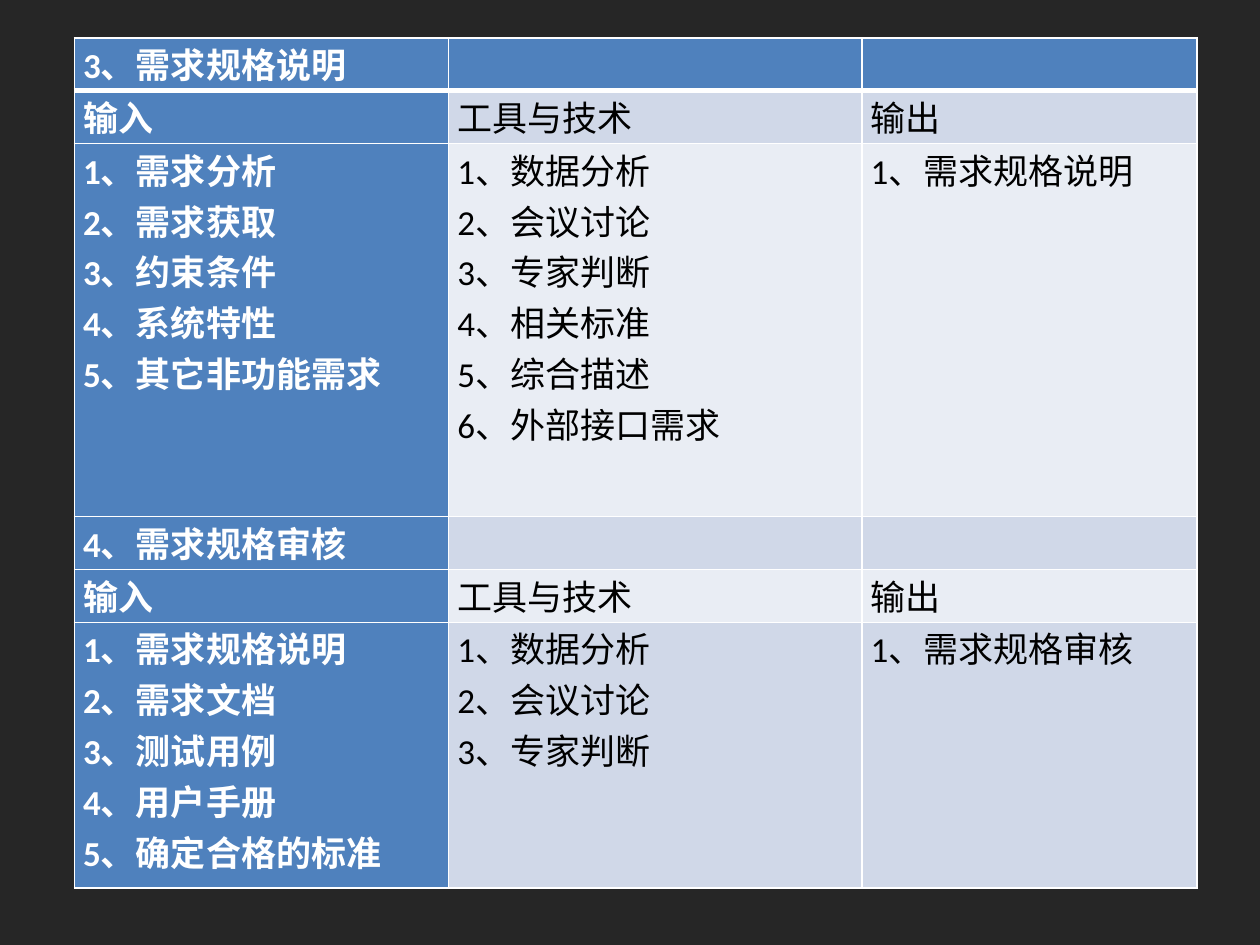
from dataclasses import dataclass

from lxml.etree import SubElement
from pptx import Presentation
from pptx.dml.color import RGBColor
from pptx.enum.text import PP_ALIGN
from pptx.oxml.ns import qn
from pptx.util import Inches, Pt


@dataclass(frozen=True)
class Theme:
    background: str = "262626"
    accent: str = "4F81BD"
    bands: tuple = ("E9EDF4", "D0D8E8")
    light: str = "FFFFFF"
    dark: str = "000000"
    font: str = "Calibri"
    size: int = 20
    thin: int = 1
    thick: int = 3


THEME = Theme()
COLUMN_WIDTHS = (2.97, 3.28, 2.66)
ROW_HEIGHTS = (0.42, 0.42, 2.96, 0.42, 0.42, 2.11)
HEADINGS = (["输入"], ["工具与技术"], ["输出"])
STAGES = (
    (
        "3、需求规格说明",
        ["需求分析", "需求获取", "约束条件", "系统特性", "其它非功能需求"],
        ["数据分析", "会议讨论", "专家判断", "相关标准", "综合描述", "外部接口需求"],
        ["需求规格说明"],
    ),
    (
        "4、需求规格审核",
        ["需求规格说明", "需求文档", "测试用例", "用户手册", "确定合格的标准"],
        ["数据分析", "会议讨论", "专家判断"],
        ["需求规格审核"],
    ),
)


def numbered(items):
    return [f"{number}、{item}" for number, item in enumerate(items, 1)]


def stage_rows(title, *columns):
    return [([title], [], []), HEADINGS, [numbered(items) for items in columns]]


def write_text(para, text, *, color, bold=False):
    para.alignment = PP_ALIGN.JUSTIFY
    span = para.add_run()
    span.text = text
    span.font.name = THEME.font
    span.font.size = Pt(THEME.size)
    span.font.bold = bold
    span.font.color.rgb = RGBColor.from_string(color)


def add_borders(cell, **widths):
    properties = cell._tc.get_or_add_tcPr()
    for side in "LRTB":
        width = Pt(widths.get(side, THEME.thin))
        line = SubElement(properties, qn(f"a:ln{side}"), w=str(width))
        fill = SubElement(line, qn("a:solidFill"))
        SubElement(fill, qn("a:srgbClr"), val=THEME.light)


def format_cell(cell, row, column):
    cell.margin_left = cell.margin_right = Inches(0.07)
    cell.margin_top = cell.margin_bottom = 0
    widths = {0: {"B": THEME.thick}, 1: {"T": THEME.thick}}.get(row, {})
    add_borders(cell, **widths)
    color = THEME.accent if row == 0 or column == 0 else THEME.bands[row % 2]
    cell.fill.solid()
    cell.fill.fore_color.rgb = RGBColor.from_string(color)


def fill_cell(cell, lines, *, color, bold):
    frame = cell.text_frame
    for index, line in enumerate(lines):
        para = frame.add_paragraph() if index else frame.paragraphs[0]
        write_text(para, line, color=color, bold=bold)


def add_stage_table(page, left, top, width, height):
    rows = [row for stage in STAGES for row in stage_rows(*stage)]
    table = page.shapes.add_table(
        len(rows), len(COLUMN_WIDTHS), left, top, width, height
    ).table
    for column, size in zip(table.columns, COLUMN_WIDTHS):
        column.width = Inches(size)
    for row, size in zip(table.rows, ROW_HEIGHTS):
        row.height = Inches(size)
    for row, contents in enumerate(rows):
        for column, lines in enumerate(contents):
            cell = table.cell(row, column)
            format_cell(cell, row, column)
            first = column == 0
            color = THEME.light if first else THEME.dark
            fill_cell(cell, lines, color=color, bold=first)


def main():
    deck = Presentation()
    deck.slide_width, deck.slide_height = Inches(10), Inches(7.5)
    page = deck.slides.add_slide(deck.slide_layouts[6])
    page.background.fill.solid()
    page.background.fill.fore_color.rgb = RGBColor.from_string(THEME.background)
    add_stage_table(
        page, Inches(0.59), Inches(0.3),
        Inches(sum(COLUMN_WIDTHS)), Inches(sum(ROW_HEIGHTS)),
    )
    deck.save("out.pptx")


if __name__ == "__main__":
    main()
